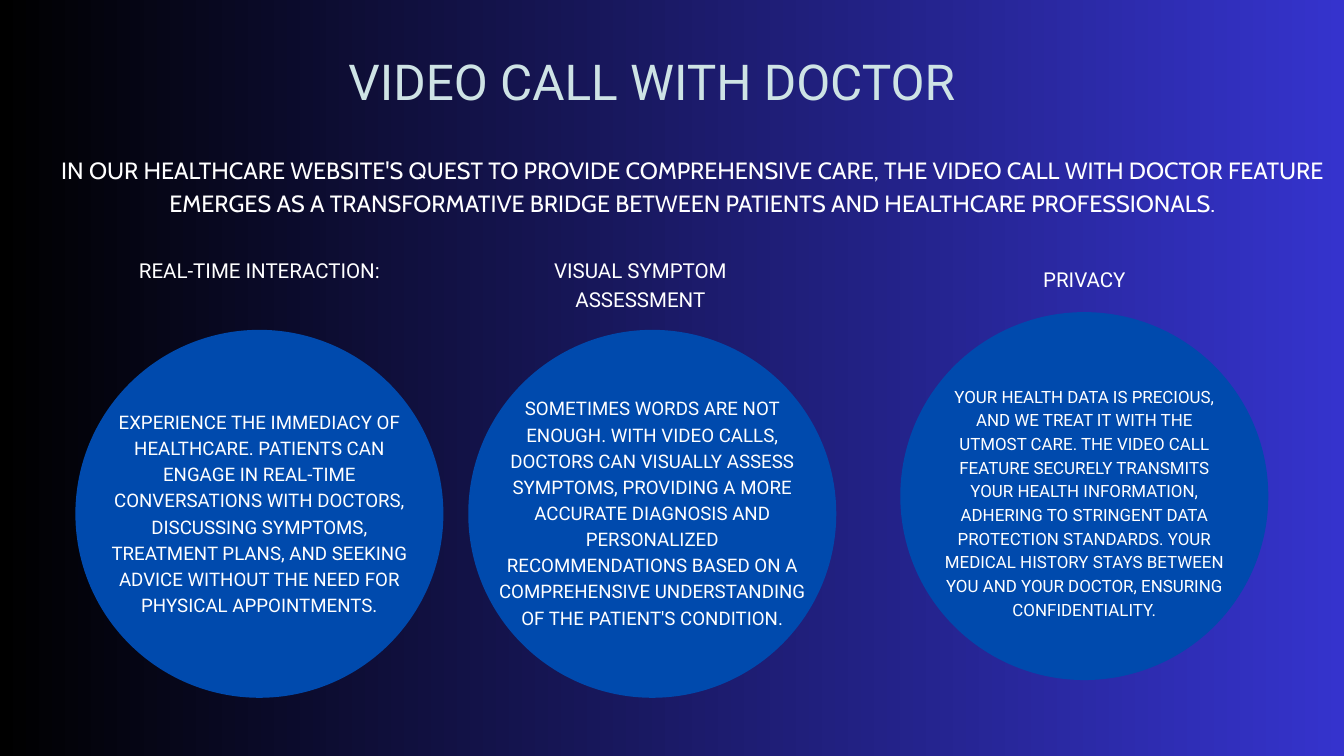
from pptx import Presentation
from pptx.dml.color import RGBColor
from pptx.enum.shapes import MSO_SHAPE as Shape
from pptx.enum.text import MSO_ANCHOR as Anchor, MSO_AUTO_SIZE as Fit, PP_ALIGN as Align
from pptx.util import Cm, Pt

BLACK = RGBColor(0x00, 0x00, 0x00)
INDIGO = RGBColor(0x35, 0x33, 0xCD)
BLUE = RGBColor(0x00, 0x4A, 0xAD)
PALE = RGBColor(0xCE, 0xE3, 0xE5)
WHITE = RGBColor(0xFF, 0xFF, 0xFF)

SIZE = 13.91  # circle diameter in cm

# Circle left and top; heading shift, rise, width, height, text;
# body top, width, height, point size, line pitch, text
TOPICS = [
    ((2.85, 12.47),
     (0, 2.87, 9.7, 2.21, "REAL-TIME INTERACTION:"),
     (2.92, 11.86, 8.89, 20, 28,
      "EXPERIENCE THE IMMEDIACY OF HEALTHCARE. PATIENTS CAN ENGAGE IN "
      "REAL-TIME CONVERSATIONS WITH DOCTORS, DISCUSSING SYMPTOMS, TREATMENT "
      "PLANS, AND SEEKING ADVICE WITHOUT THE NEED FOR PHYSICAL APPOINTMENTS.")),
    ((17.7, 12.47),
     (-0.45, 2.87, 11.3, 2.21, "VISUAL SYMPTOM ASSESSMENT"),
     (2.41, 11.86, 9.86, 20, 28,
      "SOMETIMES WORDS ARE NOT ENOUGH. WITH VIDEO CALLS, DOCTORS CAN VISUALLY "
      "ASSESS SYMPTOMS, PROVIDING A MORE ACCURATE DIAGNOSIS AND PERSONALIZED "
      "RECOMMENDATIONS BASED ON A COMPREHENSIVE UNDERSTANDING OF THE "
      "PATIENT'S CONDITION.")),
    ((34.03, 11.8),
     (0, 1.85, 11.3, 1.12, "PRIVACY"),
     (2.67, 10.74, 9.8, 18.1, 25.4,
      "YOUR HEALTH DATA IS PRECIOUS, AND WE TREAT IT WITH THE UTMOST CARE. THE "
      "VIDEO CALL FEATURE SECURELY TRANSMITS YOUR HEALTH INFORMATION, ADHERING "
      "TO STRINGENT DATA PROTECTION STANDARDS. YOUR MEDICAL HISTORY STAYS "
      "BETWEEN YOU AND YOUR DOCTOR, ENSURING CONFIDENTIALITY.")),
]


def write(shape, text, size, pitch, font="Roboto", color=WHITE):
    """Fill a shape with one centred paragraph and no margins."""
    frame = shape.text_frame
    frame.word_wrap = True
    frame.auto_size = Fit.NONE
    frame.vertical_anchor = Anchor.TOP
    frame.margin_left = frame.margin_right = 0
    frame.margin_top = frame.margin_bottom = 0
    para = frame.paragraphs[0]
    para.alignment = Align.CENTER
    para.line_spacing = Pt(pitch)
    para.space_before = Pt(0)
    run = para.add_run()
    run.text = text
    run.font.name = font
    run.font.size = Pt(size)
    run.font.color.rgb = color


def add_text(slide, left, top, width, height, *style):
    box = slide.shapes.add_textbox(Cm(left), Cm(top), Cm(width), Cm(height))
    write(box, *style)


def add_back(slide):
    fill = slide.background.fill
    fill.gradient()
    fill.gradient_angle = 0
    for stop, color in zip(fill.gradient_stops, (BLACK, INDIGO)):
        stop.color.rgb = color


def add_header(slide, left, top, width, height):
    # Title
    title = slide.shapes.title
    title.left, title.top = Cm(left), Cm(top)
    title.width, title.height = Cm(width), Cm(height)
    write(title, "VIDEO CALL WITH DOCTOR", 53, 74.2, "Roboto", PALE)

    # Introduction, wider than the title
    add_text(slide, left - 7.82, top + 4.15, 49.81, 2.46,
             "IN OUR HEALTHCARE WEBSITE'S QUEST TO PROVIDE COMPREHENSIVE CARE, "
             "THE VIDEO CALL WITH DOCTOR FEATURE EMERGES AS A TRANSFORMATIVE "
             "BRIDGE BETWEEN PATIENTS AND HEALTHCARE PROFESSIONALS.",
             25.2, 35.4, "Cabin")


def add_topic(slide, left, top, head, body):
    mid = left + SIZE / 2

    # Circle
    disc = slide.shapes.add_shape(Shape.OVAL, Cm(left), Cm(top), Cm(SIZE), Cm(SIZE))
    disc.shadow.inherit = False
    disc.fill.solid()
    disc.fill.fore_color.rgb = BLUE
    disc.line.fill.background()

    # Heading above the circle
    shift, rise, width, height, text = head
    add_text(slide, mid + shift - width / 2, top - rise, width, height, text, 22, 30.8)

    # Body inside the circle
    drop, width, height, size, pitch, text = body
    add_text(slide, mid - width / 2, top + drop, width, height, text, size, pitch)


def main():
    deck = Presentation()
    deck.slide_width, deck.slide_height = Cm(50.8), Cm(28.58)
    slide = deck.slides.add_slide(deck.slide_layouts[5])
    add_back(slide)
    add_header(slide, 9.09, 1.57, 31.12, 2.67)
    for (left, top), head, body in TOPICS:
        add_topic(slide, left, top, head, body)
    deck.save("out.pptx")


if __name__ == "__main__":
    main()
